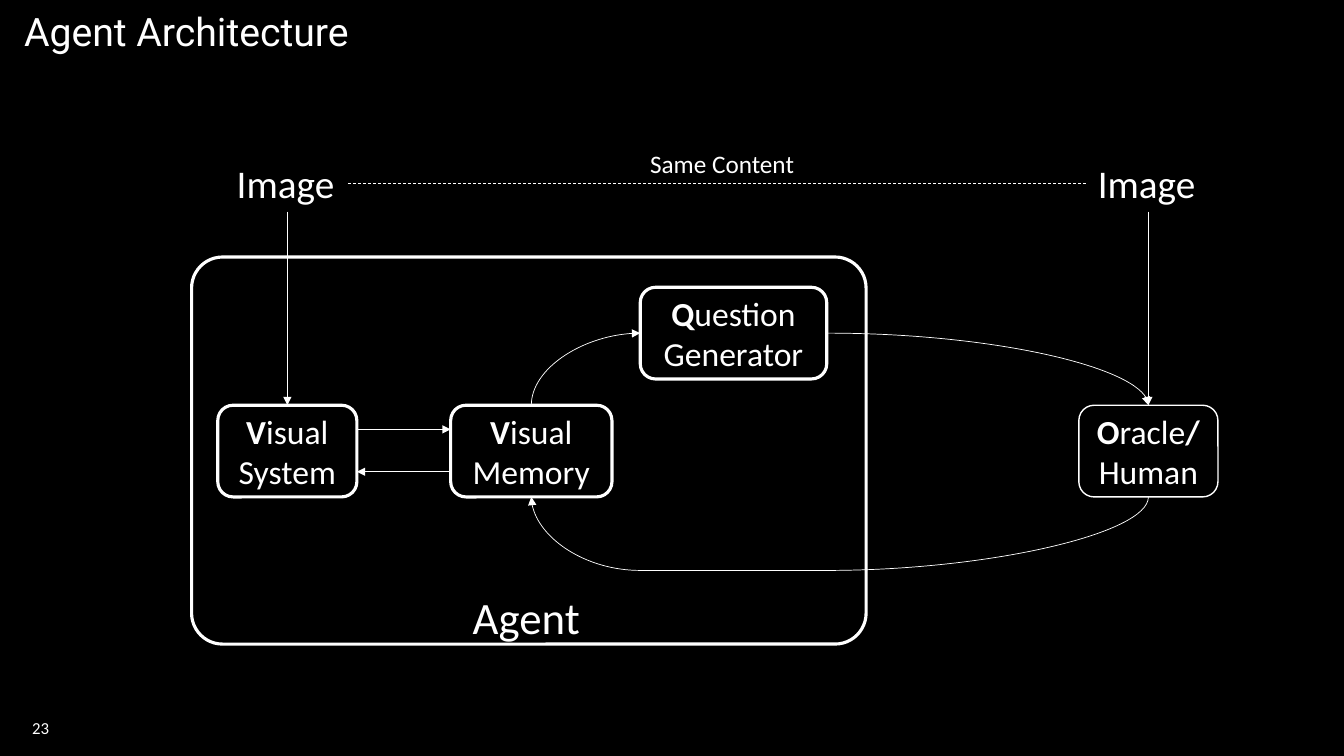
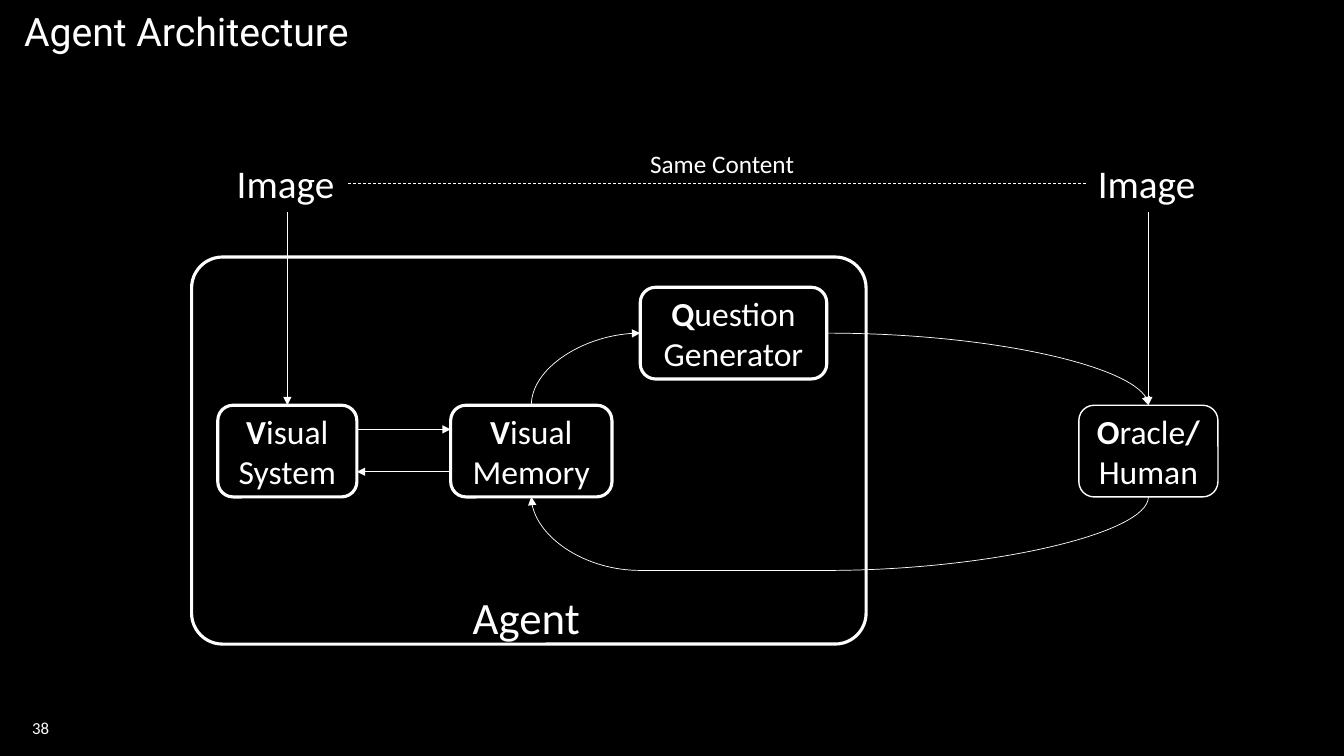
from pptx import Presentation
from pptx.dml.color import RGBColor
from pptx.enum.dml import MSO_LINE
from pptx.enum.shapes import MSO_CONNECTOR, MSO_SHAPE
from pptx.enum.text import MSO_ANCHOR, MSO_AUTO_SIZE, PP_ALIGN
from pptx.oxml.ns import qn
from pptx.util import Inches, Pt
from lxml.etree import SubElement

COLOURS = {"background": "000000", "foreground": "FFFFFF"}
FONT, TITLE_FONT = "Calibri", "Roboto"
TOP, LEFT, BOTTOM, RIGHT = range(4)


def colour(name):
    return RGBColor.from_string(COLOURS[name])


class Deck:
    """Holds the style and the slide being built."""

    def __init__(self):
        self.presentation = Presentation()
        self.presentation.slide_width = Inches(13.33)
        self.presentation.slide_height = Inches(7.5)
        self.slide = None

    def new_slide(self, title, number):
        self.slide = self.presentation.slides.add_slide(self.presentation.slide_layouts[6])
        background = self.slide.background.fill
        background.solid()
        background.fore_color.rgb = colour("background")
        heading = self.text(title, 0.14, 0.22, 13, 0.24, 28, TITLE_FONT, MSO_ANCHOR.MIDDLE)
        heading.text_frame.paragraphs[0].line_spacing = 0.9
        self.text(str(number), 0.22, 7.02, 3, 0.4, 12, anchor=MSO_ANCHOR.MIDDLE)

    def style(self, paragraph, size, font=FONT):
        paragraph.font.name = font
        paragraph.font.size = Pt(size)
        paragraph.font.color.rgb = colour("foreground")

    def text(self, words, left, top, width, height, size, font=FONT, anchor=MSO_ANCHOR.TOP):
        shape = self.slide.shapes.add_textbox(Inches(left), Inches(top), Inches(width), Inches(height))
        frame = shape.text_frame
        frame.word_wrap = True
        frame.vertical_anchor = anchor
        if anchor == MSO_ANCHOR.TOP:
            frame.auto_size = MSO_AUTO_SIZE.SHAPE_TO_FIT_TEXT
        paragraph = frame.paragraphs[0]
        paragraph.add_run().text = words
        self.style(paragraph, size, font)
        return shape

    def box(self, parts, left, top, width, height=0.91, line_width=2.25):
        """Rounded box whose text parts alternate between bold and regular."""
        shape = self.slide.shapes.add_shape(MSO_SHAPE.ROUNDED_RECTANGLE, Inches(left), Inches(top),
                                            Inches(width), Inches(height))
        shape.shadow.inherit = False
        shape.fill.solid()
        shape.fill.fore_color.rgb = colour("background")
        shape.line.color.rgb = colour("foreground")
        shape.line.width = Pt(line_width)
        frame = shape.text_frame
        frame.word_wrap = True
        frame.vertical_anchor = MSO_ANCHOR.MIDDLE
        paragraph = frame.paragraphs[0]
        paragraph.alignment = PP_ALIGN.CENTER
        for index, part in enumerate(parts):
            run = paragraph.add_run()
            run.text = part
            run.font.bold = index % 2 == 0
        self.style(paragraph, 24)
        return shape

    def connector(self, start, end, arrow=None, dashed=False, curved=False):
        """Join two ends, each an (x, y) point or a (shape, side) pair.

        A curve leaves its start horizontally and meets its end vertically.
        The arrow is "headEnd" at the start or "tailEnd" at the end.
        """
        kind = MSO_CONNECTOR.CURVE if curved else MSO_CONNECTOR.STRAIGHT
        points = [(0, 0) if hasattr(place[0], "shape_id") else place for place in (start, end)]
        connector = self.slide.shapes.add_connector(
            kind, *(Inches(value) for point in points for value in point))
        if hasattr(start[0], "shape_id"):
            connector.begin_connect(*start)
        if hasattr(end[0], "shape_id"):
            connector.end_connect(*end)
        connector.line.color.rgb = colour("foreground")
        connector.line.width = Pt(0.5)
        if dashed:
            connector.line.dash_style = MSO_LINE.DASH
        properties = connector._element.spPr
        if curved:
            properties.find(qn("a:prstGeom")).set("prst", "curvedConnector2")
        if arrow:
            SubElement(properties.find(qn("a:ln")), qn("a:" + arrow)).set("type", "triangle")
        SubElement(properties, qn("a:effectLst"))


def add_architecture(deck):
    agent = deck.box([], 1.9, 2.55, 6.69, 3.84)
    agent.adjustments[0] = 0.08
    deck.text("Agent", 4.59, 5.8, 1.35, 0.64, 32)

    row_top = 4.02
    system = deck.box(["V", "isual System"], 2.16, row_top, 1.38)
    memory = deck.box(["V", "isual Memory"], 4.47, row_top, 1.6)
    generator = deck.box(["Q", "uestion Generator"], 6.35, 2.85, 1.85)
    oracle = deck.box(["O", "racle", "/", "Human"], 10.7, row_top, 1.38, line_width=1)

    agent_image, oracle_image = (deck.text("Image", left, 1.53, 1.2, 0.57, 28) for left in (2.25, 10.79))
    deck.text("Same Content", 6.35, 1.42, 1.74, 0.4, 18)
    deck.connector((agent_image, RIGHT), (oracle_image, LEFT), dashed=True)
    for image, viewer in ((agent_image, system), (oracle_image, oracle)):
        deck.connector((image, BOTTOM), (viewer, TOP), "tailEnd")

    system_right, memory_left = 3.54, 4.47
    deck.connector((system_right, 4.26), (memory_left, 4.26), "tailEnd")
    deck.connector((memory_left, 4.68), (system_right, 4.68), "tailEnd")

    deck.connector((generator, LEFT), (memory, TOP), "headEnd", curved=True)
    deck.connector((generator, RIGHT), (oracle, TOP), "tailEnd", curved=True)

    answer_left, answer_right, answer_y = 6.35, 8.2, 5.66
    deck.connector((answer_right, answer_y), (oracle, BOTTOM), curved=True)
    deck.connector((answer_left, answer_y), (answer_right, answer_y))
    deck.connector((answer_left, answer_y), (memory, BOTTOM), "tailEnd", curved=True)


def main():
    deck = Deck()
    for number in (23, 38):
        deck.new_slide("Agent Architecture", number)
        add_architecture(deck)
    deck.presentation.save("out.pptx")


if __name__ == "__main__":
    main()
